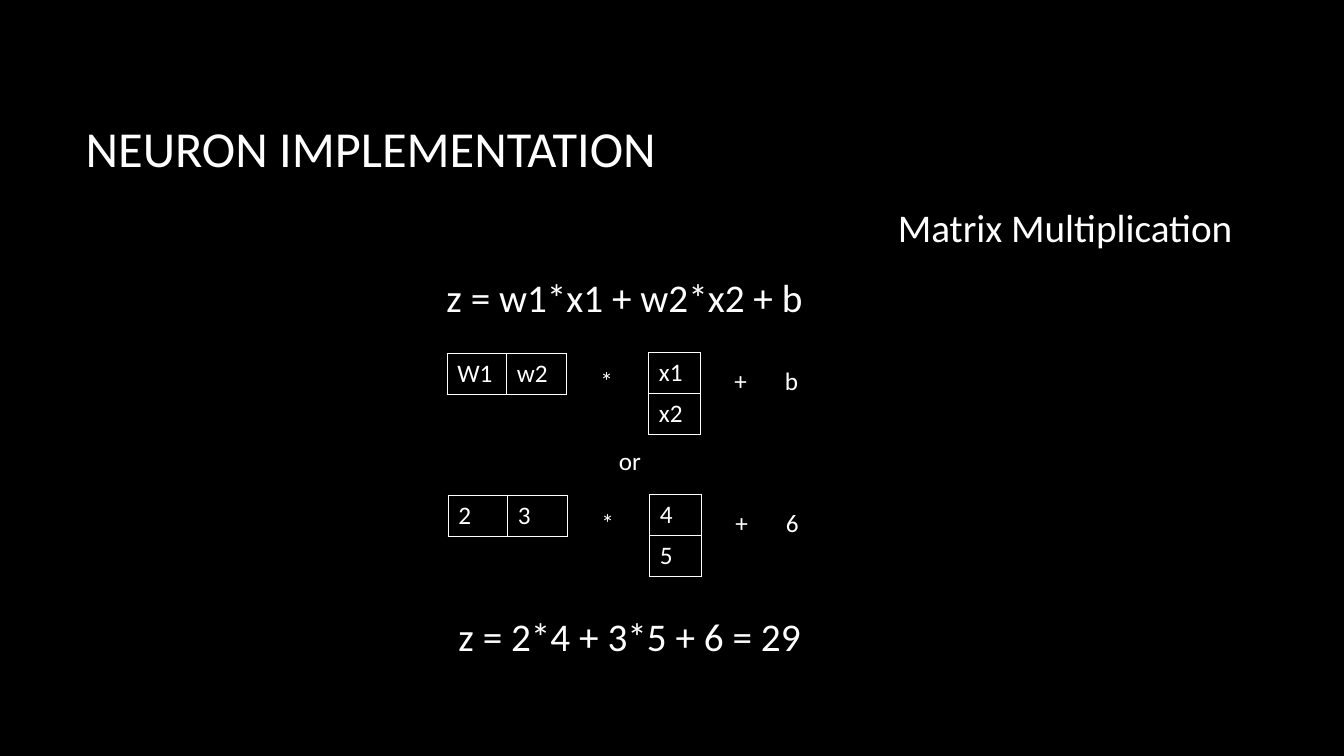
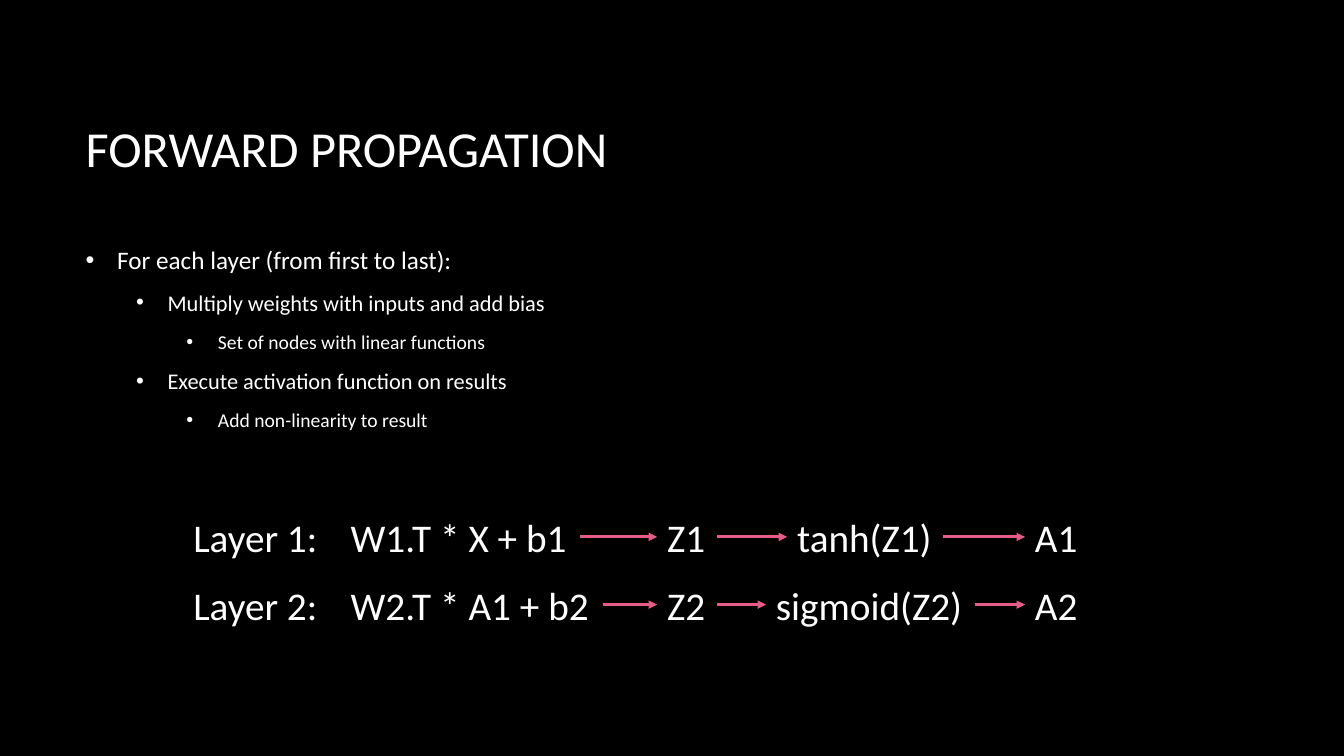
from lxml import etree
from pptx import Presentation
from pptx.dml.color import RGBColor
from pptx.enum.shapes import MSO_CONNECTOR
from pptx.enum.text import MSO_ANCHOR, MSO_AUTO_SIZE, PP_ALIGN
from pptx.oxml.ns import qn
from pptx.util import Pt

STRAIGHT = MSO_CONNECTOR.STRAIGHT
MIDDLE = MSO_ANCHOR.MIDDLE
NO_AUTOFIT = MSO_AUTO_SIZE.NONE
LEFT = PP_ALIGN.LEFT

COLORS = {"background": "000000", "text": "FFFFFF", "arrow": "E45C8A"}
FONT = "Calibri"
LARGE, NORMAL = 28, 18
TITLE_ONLY, TITLE_AND_CONTENT = 5, 1

TITLE_BOX = (54, 48, 798, 114.5)
BULLETS_BOX = (54, 168.5, 798, 146)
CELL_HEIGHT = 29.2
FORMULA_HEIGHT = 41

STEPS = [
    (0, "For each layer (from first to last):"),
    (1, "Multiply weights with inputs and add bias"),
    (2, "Set of nodes with linear functions"),
    (1, "Execute activation function on results"),
    (2, "Add non-linearity to result"),
]
# Each stage is (text, left, width), relative to the left of the flow.
LAYERS = [
    ("Layer 1:", [("W1.T * X + b1", 112.4, 170.6), ("Z1", 338.4, 42.5),
                  ("tanh(Z1)", 431.3, 111.6), ("A1", 601.2, 45.4)]),
    ("Layer 2:", [("W2.T * A1 + b2", 112.4, 187.2), ("Z2", 338.4, 42.5),
                  ("sigmoid(Z2)", 416.2, 149), ("A2", 601.2, 45.4)]),
]


def color(name):
    return RGBColor.from_string(COLORS[name])


def format_text(paragraph, size):
    for run in paragraph.runs:
        run.font.name = FONT
        run.font.size = Pt(size)
        run.font.color.rgb = color("text")


def place(shape, box):
    shape.left, shape.top, shape.width, shape.height = map(Pt, box)


def add_titled_slide(prs, layout, heading):
    slide = prs.slides.add_slide(prs.slide_layouts[layout])
    title = slide.shapes.title
    place(title, TITLE_BOX)
    frame = title.text_frame
    frame.text = heading
    frame.auto_size = NO_AUTOFIT
    frame.vertical_anchor = MIDDLE
    frame.paragraphs[0].alignment = LEFT
    format_text(frame.paragraphs[0], 36)
    return slide


def add_label(slide, text, left, top, width, height, size=NORMAL):
    frame = slide.shapes.add_textbox(*map(Pt, (left, top, width, height))).text_frame
    frame.word_wrap = False
    frame.text = text
    format_text(frame.paragraphs[0], size)


def outline_cell(cell):
    properties = cell._tc.get_or_add_tcPr()
    for side in ("a:lnL", "a:lnR", "a:lnT", "a:lnB"):
        border = etree.SubElement(properties, qn(side), w=str(Pt(1)))
        fill = etree.SubElement(border, qn("a:solidFill"))
        etree.SubElement(fill, qn("a:srgbClr"), val=COLORS["text"])


def add_matrix(slide, rows, left, top, cell_width):
    column_count = len(rows[0])
    size = (cell_width * column_count, CELL_HEIGHT * len(rows))
    table = slide.shapes.add_table(
        len(rows), column_count, *map(Pt, (left, top, *size))).table
    table.first_row = table.horz_banding = False
    for r, row in enumerate(rows):
        for c, value in enumerate(row):
            cell = table.cell(r, c)
            cell.text = value
            format_text(cell.text_frame.paragraphs[0], NORMAL)
            outline_cell(cell)
            cell.fill.background()


def add_matrix_product(slide, left, top, weights, inputs, bias):
    """Row of weights * column of inputs + bias."""
    add_matrix(slide, [weights], left, top + 0.7, 42.6)
    add_matrix(slide, [[value] for value in inputs], left + 144, top, 36.7)
    for text, offset in (("*", 102.3), ("+", 198), (bias, 234)):
        add_label(slide, text, left + offset, top + 5.5, 24, 29)


def add_arrow(slide, start, end, y):
    arrow = slide.shapes.add_connector(STRAIGHT, *map(Pt, (start, y, end, y)))
    arrow.line.color.rgb = color("arrow")
    arrow.line.width = Pt(2)
    etree.SubElement(arrow.line._get_or_add_ln(), qn("a:tailEnd"), type="triangle")
    etree.SubElement(arrow._element.spPr, qn("a:effectLst"))


def add_layer_flow(slide, left, top, name, stages):
    """Layer name, then its stages joined by arrows."""
    add_label(slide, name, left, top, 104.4, FORMULA_HEIGHT, LARGE)
    for text, offset, width in stages:
        add_label(slide, text, left + offset, top, width, FORMULA_HEIGHT, LARGE)
    for (_, offset, width), (_, next_offset, _) in zip(stages, stages[1:]):
        add_arrow(slide, left + offset + width, left + next_offset,
                  top + FORMULA_HEIGHT / 2)


def fill_bullets(placeholder, box, items):
    place(placeholder, box)
    frame = placeholder.text_frame
    frame.auto_size = NO_AUTOFIT
    frame.vertical_anchor = MIDDLE
    frame.text = "\n".join(text for _, text in items)
    for paragraph, (level, _) in zip(frame.paragraphs, items):
        paragraph.level = level
        paragraph.space_before = Pt(0)
        paragraph.space_after = Pt(10)
        format_text(paragraph, NORMAL - 2 * level)
        properties = paragraph._p.get_or_add_pPr()
        properties.set("marL", str(Pt(22.5 + 36 * level)))
        properties.set("indent", str(Pt(-22.5)))
        bullet_color = etree.SubElement(properties, qn("a:buClr"))
        etree.SubElement(bullet_color, qn("a:srgbClr"), val=COLORS["text"])
        etree.SubElement(properties, qn("a:buFont"), typeface="Arial")
        etree.SubElement(properties, qn("a:buChar"), char="•")


def build_neuron_slide(prs):
    slide = add_titled_slide(prs, TITLE_ONLY, "NEURON IMPLEMENTATION")
    for text, left, top, width in (
            ("Matrix Multiplication", 634.3, 142, 256.3),
            ("z = w1*x1 + w2*x2 + b", 311.8, 191.5, 272.2),
            ("z = 2*4 + 3*5 + 6 = 29", 320.4, 434, 262.8)):
        add_label(slide, text, left, top, width, FORMULA_HEIGHT, LARGE)
    add_matrix_product(slide, 319.5, 252, ("W1", "w2"), ("x1", "x2"), "b")
    add_label(slide, "or", 434.9, 314.6, 30.2, 29)
    add_matrix_product(slide, 320.2, 353.3, ("2", "3"), ("4", "5"), "6")


def build_propagation_slide(prs):
    slide = add_titled_slide(prs, TITLE_AND_CONTENT, "FORWARD PROPAGATION")
    fill_bullets(slide.placeholders[1], BULLETS_BOX, STEPS)
    for index, (name, stages) in enumerate(LAYERS):
        add_layer_flow(slide, 131, 363 + 48.4 * index, name, stages)


def main():
    prs = Presentation()
    prs.slide_width, prs.slide_height = Pt(960), Pt(540)
    background = prs.slide_master.background.fill
    background.solid()
    background.fore_color.rgb = color("background")
    build_neuron_slide(prs)
    build_propagation_slide(prs)
    prs.save("out.pptx")


if __name__ == "__main__":
    main()
